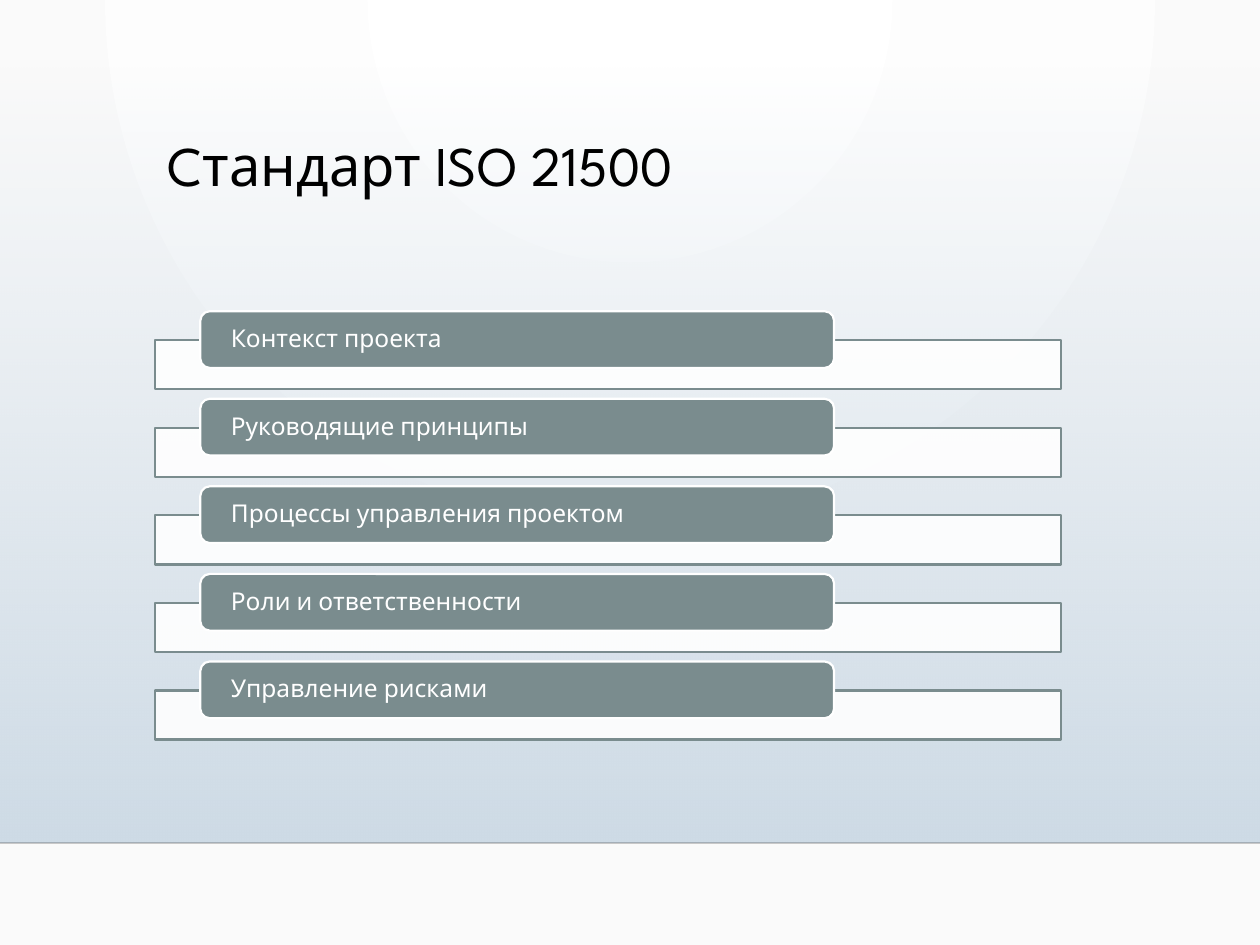
from lxml import etree
from pptx import Presentation
from pptx.dml.color import RGBColor
from pptx.enum.shapes import MSO_CONNECTOR, MSO_SHAPE
from pptx.enum.text import MSO_ANCHOR, PP_ALIGN
from pptx.oxml.ns import qn
from pptx.util import Inches, Pt

RECTANGLE = MSO_SHAPE.RECTANGLE
ROUNDED = MSO_SHAPE.ROUNDED_RECTANGLE
STRAIGHT = MSO_CONNECTOR.STRAIGHT
TOP, MIDDLE = MSO_ANCHOR.TOP, MSO_ANCHOR.MIDDLE
LEFT = PP_ALIGN.LEFT

FONT = "League Spartan"
COLORS = {
    "white": "FFFFFF",
    "pale": "FAFAFA",
    "sky": "CEDBE6",
    "sky_end": "D0DDE7",
    "slate": "7A8C8E",
    "black": "000000",
    "rule": "000001",
}
TOPICS = [
    "Контекст проекта",
    "Руководящие принципы",
    "Процессы управления проектом",
    "Роли и ответственности",
    "Управление рисками",
]
FIRST_BAR, LAST_BAR = 2.7, 5.48
LABEL_RISE = 0.23


class SlideBuilder:
    """Holds the style and the current slide, and draws its elements."""

    def __init__(self, slide):
        self.slide = slide

    def color(self, name):
        return RGBColor.from_string(COLORS[name])

    def set_alpha(self, parent, percent):
        color = next(parent.iter(qn("a:srgbClr")))
        etree.SubElement(color, qn("a:alpha")).set("val", str(percent * 1000))

    def gradient(self, fill, start, end):
        fill.gradient()
        for stop, name in zip(fill.gradient_stops, (start, end)):
            stop.color.rgb = self.color(name)

    def background(self, center, edge):
        self.gradient(self.slide.background.fill, center, edge)
        gradient = next(self.slide.element.iter(qn("a:gradFill")))
        gradient.remove(gradient.find(qn("a:lin")))
        circle = etree.SubElement(gradient, qn("a:path"))
        circle.set("path", "circle")
        focus = etree.SubElement(circle, qn("a:fillToRect"))
        for side, percent in (("l", 43), ("t", 0), ("r", 43), ("b", 100)):
            focus.set(side, str(percent * 1000))

    def shape(self, kind, left, top, width, height):
        shape = self.slide.shapes.add_shape(
            kind, Inches(left), Inches(top), Inches(width), Inches(height))
        shape.shadow.inherit = False
        return shape

    def fading_panel(self, left, top, width, height):
        panel = self.shape(RECTANGLE, left, top, width, height)
        self.gradient(panel.fill, "sky", "sky_end")
        panel.fill.gradient_angle = 270
        self.set_alpha(panel.element.spPr, 0)
        panel.line.fill.background()

    def rule(self, left, top, right):
        rule = self.slide.shapes.add_connector(
            STRAIGHT, Inches(left), Inches(top), Inches(right), Inches(top))
        rule.line.width = Pt(1)
        rule.line.color.rgb = self.color("rule")
        self.set_alpha(rule.element.spPr, 20)
        etree.SubElement(rule.element.spPr, qn("a:effectLst"))

    def outlined(self, kind, left, top, width, height, fill, line):
        box = self.shape(kind, left, top, width, height)
        box.fill.solid()
        box.fill.fore_color.rgb = self.color(fill)
        box.line.color.rgb = self.color(line)
        box.line.width = Pt(1.25)
        return box

    def bar(self, left, top, width, height):
        bar = self.outlined(RECTANGLE, left, top, width, height, "white", "slate")
        self.set_alpha(bar.element.spPr, 90)

    def label(self, left, top, width, height, text):
        label = self.outlined(ROUNDED, left, top, width, height, "slate", "white")
        frame = label.text_frame
        frame.margin_left = frame.margin_right = Inches(0.22)
        frame.margin_top = frame.margin_bottom = 0
        self.set_text(frame, text, 14, "white", MIDDLE)

    def title(self, left, top, width, height, text):
        box = self.slide.shapes.add_textbox(
            Inches(left), Inches(top), Inches(width), Inches(height))
        self.set_text(box.text_frame, text, 32, "black", TOP)

    def set_text(self, frame, text, size, color, anchor):
        frame.word_wrap = True
        frame.vertical_anchor = anchor
        para = frame.paragraphs[0]
        para.text = text
        para.alignment = LEFT
        para.line_spacing = 0.9
        para.font.name = FONT
        para.font.size = Pt(size)
        para.font.color.rgb = self.color(color)


def main():
    deck = Presentation()
    deck.slide_width, deck.slide_height = Inches(10), Inches(7.5)
    page = SlideBuilder(deck.slides.add_slide(deck.slide_layouts[6]))
    page.background("white", "pale")
    page.fading_panel(0, 0.51, 10, 6.18)
    page.rule(0, 6.69, 10)
    page.title(1.23, 1.05, 7.19, 1.15, "Cтандарт ISO 21500")
    pitch = (LAST_BAR - FIRST_BAR) / (len(TOPICS) - 1)
    for index, topic in enumerate(TOPICS):
        top = FIRST_BAR + index * pitch
        page.bar(1.23, top, 7.19, 0.39)
        page.label(1.59, top - LABEL_RISE, 5.03, 0.45, topic)
    deck.save("out.pptx")


if __name__ == "__main__":
    main()
